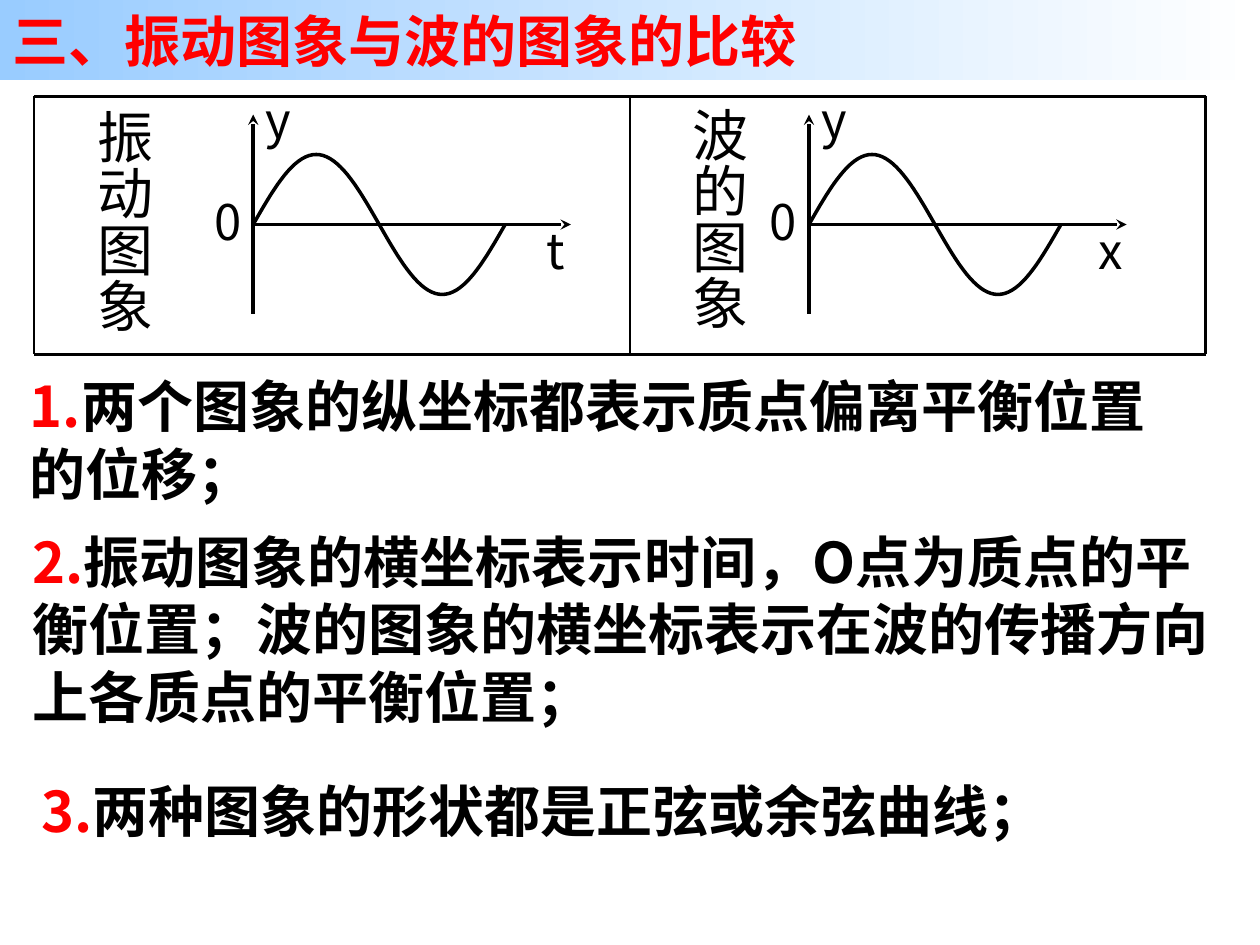
from math import pi, sin

from lxml.etree import SubElement
from pptx import Presentation
from pptx.dml.color import RGBColor
from pptx.enum.shapes import MSO_CONNECTOR, MSO_SHAPE
from pptx.enum.text import MSO_ANCHOR, PP_ALIGN
from pptx.oxml.ns import qn
from pptx.util import Pt

BLACK = RGBColor(0x00, 0x00, 0x00)
RED = RGBColor(0xFF, 0x00, 0x00)
SKY = RGBColor(0x99, 0xCC, 0xFF)
WHITE = RGBColor(0xFF, 0xFF, 0xFF)
SANS = "Noto Sans CJK SC"


def add_line(shapes, x1, y1, x2, y2, width, arrow=False):
    line = shapes.add_connector(MSO_CONNECTOR.STRAIGHT, Pt(x1), Pt(y1), Pt(x2), Pt(y2))
    line.line.color.rgb = BLACK
    line.line.width = Pt(width)
    if arrow:
        SubElement(line.line._get_or_add_ln(), qn("a:tailEnd"), type="stealth")
    SubElement(line._element.spPr, qn("a:effectLst"))


def add_text(shapes, left, top, width, height, parts, size, font=SANS, bold=False, wrap=False):
    """Add a text box whose single paragraph is made of (text, colour) parts."""
    frame = shapes.add_textbox(Pt(left), Pt(top), Pt(width), Pt(height)).text_frame
    frame.word_wrap = wrap
    paragraph = frame.paragraphs[0]
    if font == SANS:
        paragraph.line_spacing = Pt(size * 1.2)
    for text, color in parts:
        run = paragraph.add_run()
        run.text = text
        run.font.size = Pt(size)
        run.font.name = font
        run.font.bold = bold
        run.font.color.rgb = color
    return frame


prs = Presentation()
prs.slide_width, prs.slide_height = Pt(720), Pt(540)
slide = prs.slides.add_slide(prs.slide_layouts[6])

# Heading band
heading = slide.shapes.add_shape(MSO_SHAPE.RECTANGLE, 0, 0, Pt(720), Pt(46))
heading.shadow.inherit = False
heading.line.fill.background()
heading.fill.gradient()
heading.fill.gradient_angle = 0
for stop, color, position in zip(heading.fill.gradient_stops, (SKY, WHITE), (0, 1)):
    stop.color.rgb = color
    stop.position = position
heading.text_frame.text = "三、振动图象与波的图象的比较"
heading.text_frame.vertical_anchor = MSO_ANCHOR.MIDDLE
title = heading.text_frame.paragraphs[0]
title.alignment = PP_ALIGN.LEFT
title_font = title.runs[0].font
title_font.size, title_font.name, title_font.bold = Pt(32), "Arial", True
title_font.color.rgb = RED

# Frame of the comparison
LEFT, MIDDLE, RIGHT, TOP, BOTTOM = 19.5, 360, 689, 55, 202.5
for y in (TOP, BOTTOM):
    add_line(slide.shapes, LEFT, y, RIGHT, y, 1.5)
for x in (LEFT, MIDDLE, RIGHT):
    add_line(slide.shapes, x, TOP, x, BOTTOM, 1.5)

# The two graphs
AXIS_Y, WAVELENGTH, AMPLITUDE, STEPS = 128.3, 144, 40, 72
graphs = [
    ("振动图象", 41, 55.5, 144.7, "t", 160.5),
    ("波的图象", 381, 54, 462.3, "x", 158.5),
]
for name, name_left, name_top, origin, variable, variable_offset in graphs:
    caption = add_text(slide.shapes, name_left, name_top, 52.5, 135.5,
                       [(name, BLACK)], 32, "Times New Roman")
    caption.margin_left = caption.margin_right = Pt(3.6)
    caption.margin_top = caption.margin_bottom = Pt(7.2)
    caption._txBody.bodyPr.set("vert", "eaVert")

    graph = slide.shapes.add_group_shape().shapes
    add_line(graph, origin, AXIS_Y, origin + 181.5, AXIS_Y, 2, arrow=True)
    add_line(graph, origin, 179.3, origin, 65.5, 2, arrow=True)

    points = [
        (Pt(origin + WAVELENGTH * i / STEPS),
         Pt(AXIS_Y - AMPLITUDE * sin(2 * pi * i / STEPS)))
        for i in range(STEPS + 1)
    ]
    builder = graph.build_freeform(*points[0])
    builder.add_line_segments(points[1:], close=False)
    wave = builder.convert_to_shape()
    wave.shadow.inherit = False
    wave.fill.background()
    wave.line.color.rgb = BLACK
    wave.line.width = Pt(2)

    for label, offset, top in (("y", 0, 47.5), ("0", -29.5, 106), (variable, variable_offset, 122.5)):
        add_text(graph, origin + offset, top, 29, 41, [(label, BLACK)], 28)

# Conclusions
conclusions = [
    ("1.", "两个图象的纵坐标都表示质点偏离平衡位置的位移；", 10, 209, 684, 84),
    ("2.", "振动图象的横坐标表示时间，O点为质点的平衡位置；"
           "波的图象的横坐标表示在波的传播方向上各质点的平衡位置；", 11.5, 298, 695, 122),
    ("3.", "两种图象的形状都是正弦或余弦曲线；", 16.5, 440, 590, 84),
]
for number, sentence, left, top, width, height in conclusions:
    add_text(slide.shapes, left, top, width, height,
             [(number, RED), (sentence, BLACK)], 32, bold=True, wrap=True)

prs.save("out.pptx")
